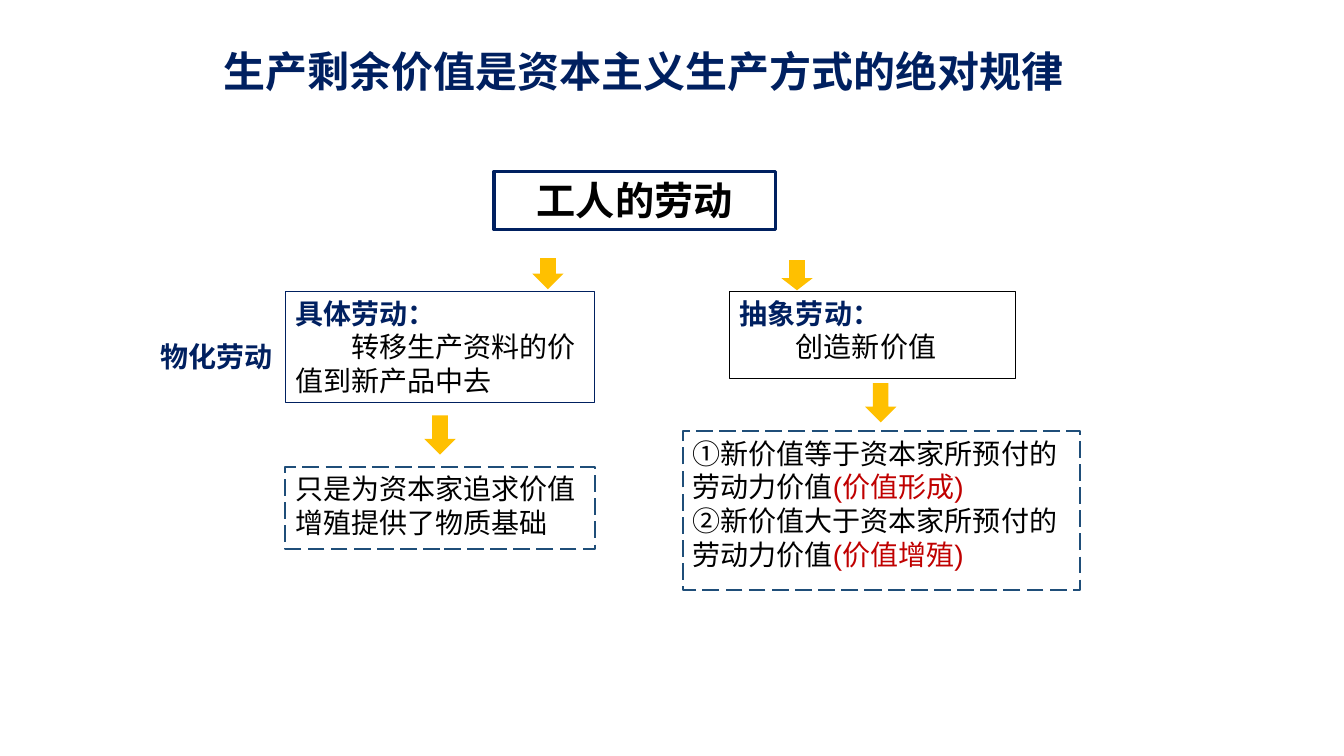
import pptx
import pptx.util
import pptx.dml.color
import pptx.enum.dml
import pptx.enum.shapes
import pptx.enum.text
import pptx.oxml.ns
from lxml import etree

NAVY = pptx.dml.color.RGBColor(0x00, 0x20, 0x60)
STEEL = pptx.dml.color.RGBColor(0x1F, 0x4E, 0x79)
BLACK = pptx.dml.color.RGBColor(0x00, 0x00, 0x00)
RED = pptx.dml.color.RGBColor(0xC0, 0x00, 0x00)
GOLD = pptx.dml.color.RGBColor(0xFF, 0xC0, 0x00)

SHAPES = pptx.enum.shapes.MSO_SHAPE
ALIGN = pptx.enum.text.PP_ALIGN
ANCHOR = pptx.enum.text.MSO_ANCHOR
DASH = pptx.enum.dml.MSO_LINE.LONG_DASH

# Grid: ten columns and ten rows to the inch
CELL = pptx.util.Inches(0.1)
TEXT_INDENT = pptx.util.Pt(40)  # two characters of 20 pt


def grid(*cells):
    return [round(count * CELL) for count in cells]


def write(shape, paragraphs, size, align=ALIGN.LEFT, anchor=ANCHOR.TOP, font_name="Arial"):
    """Fill a shape with paragraphs, each a list of (text, colour, bold) runs."""
    frame = shape.text_frame
    frame_format = {
        "word_wrap": True, "vertical_anchor": anchor,
        "margin_left": CELL, "margin_right": CELL,
        "margin_top": CELL // 2, "margin_bottom": CELL // 2,
    }
    for name, value in frame_format.items():
        setattr(frame, name, value)
    for index, runs in enumerate(paragraphs):
        paragraph = frame.paragraphs[0] if index == 0 else frame.add_paragraph()
        paragraph.alignment = align
        for text, colour, bold in runs:
            run = paragraph.add_run()
            run.text = text
            font_format = {"name": font_name, "size": pptx.util.Pt(size), "bold": bold}
            for name, value in font_format.items():
                setattr(run.font, name, value)
            run.font.color.rgb = colour
            east_asian = etree.SubElement(run.font._element, pptx.oxml.ns.qn("a:ea"))
            east_asian.set("typeface", font_name)


presentation = pptx.Presentation()
presentation.slide_width = pptx.util.Inches(13.33)
presentation.slide_height = pptx.util.Inches(7.5)
slide = presentation.slides.add_slide(presentation.slide_layouts[5])

# Title
title = slide.shapes.title
title.left, title.top, title.width, title.height = grid(13.8, 4, 100, 6.1)
write(title, [[("生产剩余价值是资本主义生产方式的绝对规律", NAVY, True)]],
      30, ALIGN.CENTER, ANCHOR.MIDDLE)

# Boxes: place, line colour, line width, dash, paragraphs, text size, alignment
boxes = [
    ((49, 17, 27.9, 5.8), NAVY, 2.25, None,
     [[("工人的劳动", BLACK, True)]], 28, ALIGN.CENTER),
    ((67.7, 42.8, 39.4, 15.7), STEEL, 1.5, DASH,
     [[("①新价值等于资本家所预付的劳动力价值", BLACK, False), ("(价值形成)", RED, False)],
      [("②新价值大于资本家所预付的劳动力价值", BLACK, False), ("(价值增殖)", RED, False)]],
     20, ALIGN.LEFT),
    ((28.3, 46.3, 30.7, 8.2), STEEL, 1.5, DASH,
     [[("只是为资本家追求价值增殖提供了物质基础", BLACK, False)]], 20, ALIGN.LEFT),
    ((72.4, 28.9, 28.3, 8.7), BLACK, 0.75, None,
     [[("抽象劳动：", NAVY, True)], [("创造新价值", BLACK, False)]], 20, ALIGN.LEFT),
    ((28.3, 28.9, 30.7, 11), NAVY, 0.75, None,
     [[("具体劳动：", NAVY, True)], [("转移生产资料的价值到新产品中去", BLACK, False)]],
     20, ALIGN.LEFT),
]
for place, colour, width, dash, paragraphs, size, align in boxes:
    box = slide.shapes.add_shape(SHAPES.RECTANGLE, *grid(*place))
    box.shadow.inherit = False
    box.fill.background()
    box.line.color.rgb = colour
    box.line.width = pptx.util.Pt(width)
    if dash:
        box.line.dash_style = dash
    write(box, paragraphs, size, align)
    # A bold heading is followed by a paragraph with an indented first line
    if len(paragraphs) > 1 and paragraphs[0][0][2]:
        properties = box.text_frame.paragraphs[1]._p.get_or_add_pPr()
        properties.set("marL", "0")
        properties.set("indent", str(TEXT_INDENT))

# Arrows: left, top, height, head length
for left, top, height, head in [
    (52.8, 25.6, 3.1, 0.5),
    (77.5, 25.8, 3, 0.4),
    (42.1, 41.2, 3.9, 0.5),
    (85.8, 38, 3.9, 0.5),
]:
    arrow = slide.shapes.add_shape(SHAPES.DOWN_ARROW, *grid(left, top, 3.1, height))
    arrow.shadow.inherit = False
    arrow.adjustments[1] = head
    arrow.fill.solid()
    arrow.fill.fore_color.rgb = GOLD
    arrow.line.fill.background()

# Side label
label = slide.shapes.add_textbox(*grid(14.9, 32.5, 43.1, 4.8))
write(label, [[("物化劳动", NAVY, True)]], 20, ALIGN.JUSTIFY, font_name="Noto Sans CJK SC")
label.text_frame.paragraphs[0].line_spacing = 1.2

presentation.save("out.pptx")
